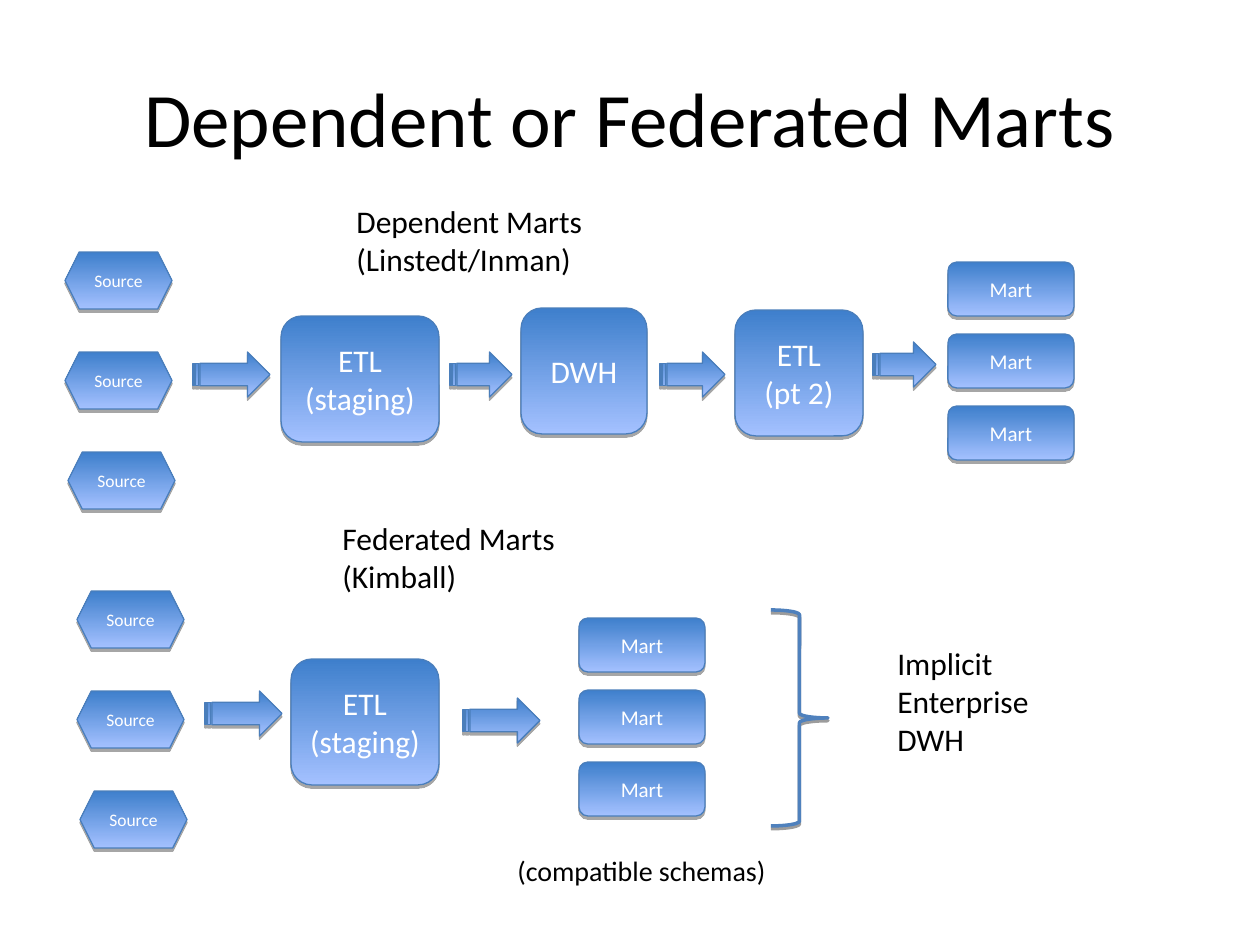
"""Build a slide comparing dependent and federated data marts."""
from typing import NamedTuple

from lxml.etree import SubElement
from pptx import Presentation
from pptx.dml.color import RGBColor
from pptx.enum.shapes import MSO_SHAPE
from pptx.enum.text import MSO_ANCHOR, PP_ALIGN
from pptx.oxml.ns import qn
from pptx.util import Emu, Pt

PX_PER_INCH = 126
FONT = "Calibri"
BLACK = RGBColor(0x00, 0x00, 0x00)
WHITE = RGBColor(0xFF, 0xFF, 0xFF)
GRADIENT_TOP = RGBColor(0x3E, 0x7F, 0xCC)
GRADIENT_BOTTOM = RGBColor(0xA4, 0xC1, 0xFF)
OUTLINE = RGBColor(0x4A, 0x7E, 0xBB)
BRACE_BLUE = RGBColor(0x4F, 0x81, 0xBD)


class Box(NamedTuple):
    left: int
    top: int
    width: int
    height: int


class Node(NamedTuple):
    kind: MSO_SHAPE
    box: Box
    text: str = ""
    size: int = 18


class Label(NamedTuple):
    box: Box
    text: str
    size: int = 18
    align: PP_ALIGN = PP_ALIGN.LEFT
    anchor: MSO_ANCHOR = MSO_ANCHOR.TOP


def px(length: int) -> Emu:
    return Emu(round(length * 914400 / PX_PER_INCH))


def sources(left: int, top: int) -> list[Node]:
    return [Node(MSO_SHAPE.HEXAGON, Box(left + shift, top + 100 * row, 107, 57), "Source", 10)
            for row, shift in enumerate((0, 0, 3))]


def marts(left: int, top: int) -> list[Node]:
    return [Node(MSO_SHAPE.ROUNDED_RECTANGLE, Box(left, top + 72 * row, 126, 54), "Mart", 12)
            for row in range(3)]


def stage(left: int, top: int, width: int, text: str) -> Node:
    return Node(MSO_SHAPE.ROUNDED_RECTANGLE, Box(left, top, width, 126), text)


def arrow(left: int, top: int, width: int) -> Node:
    return Node(MSO_SHAPE.STRIPED_RIGHT_ARROW, Box(left, top, width, 45))


NODES = [
    *sources(65, 252),
    arrow(193, 352, 77),
    stage(281, 316, 158, "ETL\v(staging)"),
    arrow(450, 352, 62),
    stage(521, 308, 126, "DWH"),
    arrow(660, 352, 65),
    stage(735, 310, 128, "ETL\v(pt 2)"),
    arrow(873, 342, 63),
    *marts(948, 262),
    *sources(77, 591),
    arrow(205, 691, 77),
    stage(291, 659, 148, "ETL\v(staging)"),
    arrow(463, 698, 77),
    *marts(579, 618),
]
LABELS = [
    Label(Box(63, 38, 1134, 157), "Dependent or Federated Marts", 44,
          PP_ALIGN.CENTER, MSO_ANCHOR.MIDDLE),
    Label(Box(344, 196, 336, 88), "Dependent Marts\n(Linstedt/Inman)"),
    Label(Box(330, 513, 285, 88), "Federated Marts\n(Kimball)"),
    Label(Box(885, 638, 179, 126), "Implicit\vEnterprise\vDWH"),
    Label(Box(505, 847, 281, 47), "(compatible schemas)", 16),
]
BRACE = Box(771, 610, 57, 216)


def write(shape, text: str, size: int, color: RGBColor, align: PP_ALIGN, anchor: MSO_ANCHOR) -> None:
    frame = shape.text_frame
    frame.word_wrap = True
    frame.vertical_anchor = anchor
    frame.text = text
    for paragraph in frame.paragraphs:
        paragraph.alignment = align
        paragraph.font.name = FONT
        paragraph.font.size = Pt(size)
        paragraph.font.color.rgb = color


def add_outlined(slide, kind: MSO_SHAPE, box: Box, color: RGBColor, weight: float,
                 shadow_distance: float, shadow_percent: int):
    shape = slide.shapes.add_shape(kind, *map(px, box))
    shape.line.color.rgb = color
    shape.line.width = Pt(weight)
    shape.shadow.inherit = False
    effects = shape._element.spPr.find(qn("a:effectLst"))
    shadow = SubElement(effects, qn("a:outerShdw"), blurRad="0", dist=str(Pt(shadow_distance)),
                        dir="5400000", rotWithShape="0")
    black = SubElement(shadow, qn("a:srgbClr"), val=str(BLACK))
    SubElement(black, qn("a:alpha"), val=str(shadow_percent * 1000))
    return shape


def add_node(slide, node: Node) -> None:
    shape = add_outlined(slide, node.kind, node.box, OUTLINE, 0.75, 1.8, 35)
    shape.fill.gradient()
    shape.fill.gradient_angle = 270
    for stop, color in zip(shape.fill.gradient_stops, (GRADIENT_TOP, GRADIENT_BOTTOM)):
        stop.color.rgb = color
    if node.text:
        write(shape, node.text, node.size, WHITE, PP_ALIGN.CENTER, MSO_ANCHOR.MIDDLE)


def add_label(slide, label: Label) -> None:
    shape = slide.shapes.add_textbox(*map(px, label.box))
    write(shape, label.text, label.size, BLACK, label.align, label.anchor)


def main() -> None:
    presentation = Presentation()
    presentation.slide_width = px(1260)
    presentation.slide_height = px(945)
    slide = presentation.slides.add_slide(presentation.slide_layouts[6])
    for node in NODES:
        add_node(slide, node)
    brace = add_outlined(slide, MSO_SHAPE.RIGHT_BRACE, BRACE, BRACE_BLUE, 2, 1.6, 38)
    brace.fill.background()
    for label in LABELS:
        add_label(slide, label)
    presentation.save("out.pptx")


if __name__ == "__main__":
    main()
